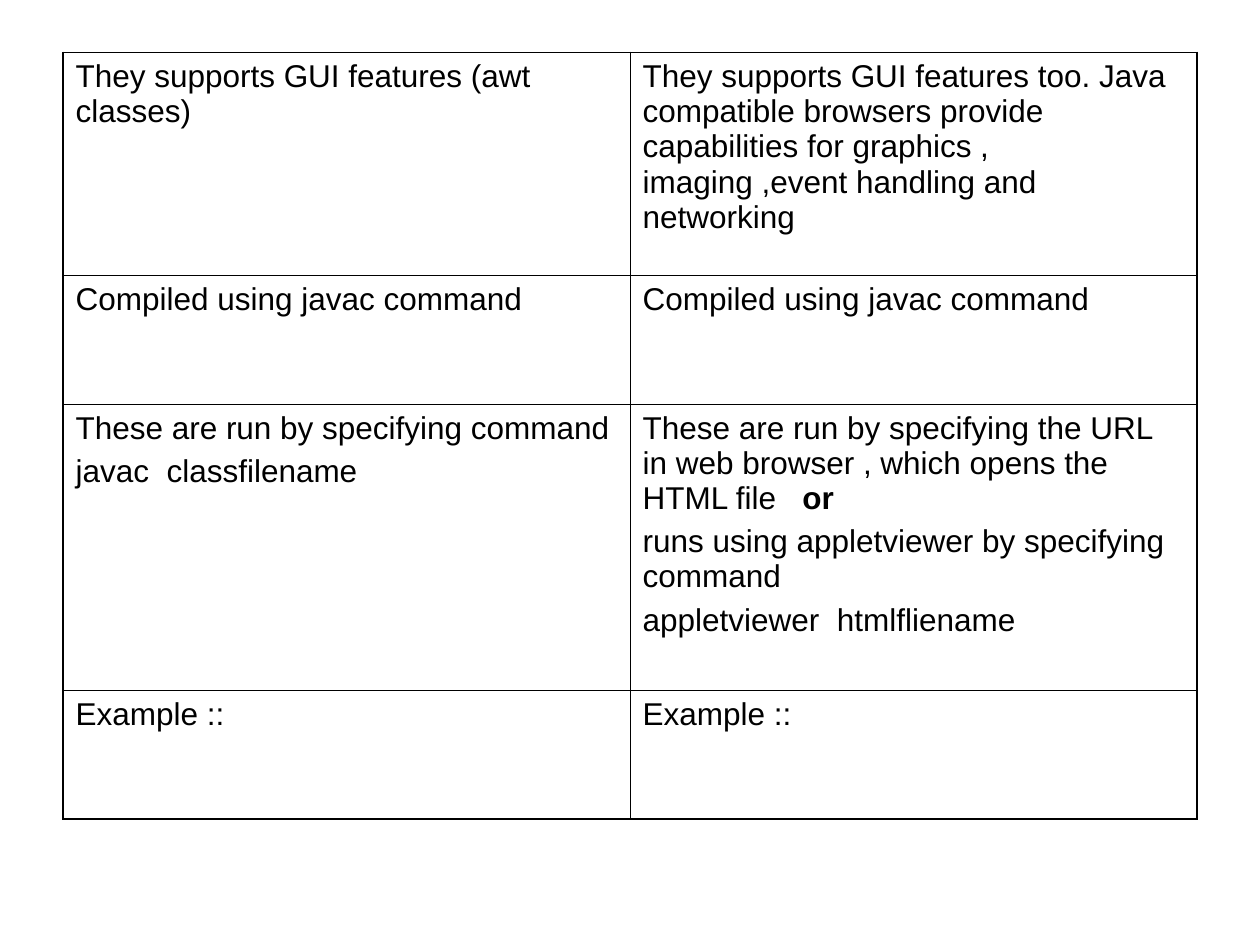
from lxml import etree
from pptx import Presentation
from pptx.dml.color import RGBColor
from pptx.oxml.ns import qn
from pptx.util import Pt

BLACK = RGBColor(0, 0, 0)
FONT = "Arial"
TEXT_SIZE = 18
OUTER, INNER = 1.08, 0.45
BLANK_LAYOUT = 6
COL_WIDTH = 324
ROW_HEIGHTS = [127.5, 73.5, 163.5, 73.5]

# Each cell is a list of paragraphs, each paragraph a list of (text, bold) runs.
COMPILED = [[("Compiled using javac command", False)]]
EXAMPLE = [[("Example ::", False)]]
ROWS = [
    ([[("They supports GUI features (awt classes)", False)]],
     [[("They supports GUI features too. Java compatible browsers provide "
        "capabilities for graphics , imaging ,event handling and networking", False)]]),
    (COMPILED, COMPILED),
    ([[("These are run by specifying command", False)],
      [("javac  classfilename", False)]],
     [[("These are run by specifying the URL in web browser , which opens the "
        "HTML file   ", False), ("or", True)],
      [("runs using appletviewer by specifying command", False)],
      [("appletviewer  htmlfliename", False)]]),
    (EXAMPLE, EXAMPLE),
]


def set_borders(cell, widths):
    """Draw solid borders; widths maps L, R, T, B, in that order, to points."""
    tc_pr = cell._tc.get_or_add_tcPr()
    for side, width in widths.items():
        ln = etree.SubElement(tc_pr, qn(f"a:ln{side}"), w=str(Pt(width)))
        fill = etree.SubElement(ln, qn("a:solidFill"))
        etree.SubElement(fill, qn("a:srgbClr"), val=str(BLACK))


def fill_text(cell, paragraphs):
    tf = cell.text_frame
    for i, runs in enumerate(paragraphs):
        p = tf.add_paragraph() if i else tf.paragraphs[0]
        if i:
            p.space_before = Pt(4.5)
        p.font.name = FONT
        p.font.size = Pt(TEXT_SIZE)
        p.font.color.rgb = BLACK
        for text, bold in runs:
            r = p.add_run()
            r.text = text
            r.font.name = FONT
            r.font.size = Pt(TEXT_SIZE)
            r.font.color.rgb = BLACK
            r.font.bold = bold


def add_comparison_table(s, left, top):
    n_rows, n_cols = len(ROWS), len(ROWS[0])
    frame = s.shapes.add_table(n_rows, n_cols, Pt(left), Pt(top),
                               Pt(COL_WIDTH * n_cols), Pt(sum(ROW_HEIGHTS)))
    table = frame.table
    table.first_row = table.horz_banding = False
    for column in table.columns:
        column.width = Pt(COL_WIDTH)
    for i, (height, contents) in enumerate(zip(ROW_HEIGHTS, ROWS)):
        table.rows[i].height = Pt(height)
        for j, paragraphs in enumerate(contents):
            cell = table.cell(i, j)
            at_edge = {"L": j == 0, "R": j == n_cols - 1,
                       "T": i == 0, "B": i == n_rows - 1}
            set_borders(cell, {side: OUTER if edge else INNER
                               for side, edge in at_edge.items()})
            cell.fill.background()
            fill_text(cell, paragraphs)


def main():
    prs = Presentation()
    prs.slide_width, prs.slide_height = Pt(720), Pt(540)
    s = prs.slides.add_slide(prs.slide_layouts[BLANK_LAYOUT])
    add_comparison_table(s, 36, 30)
    prs.save("out.pptx")


if __name__ == "__main__":
    main()
